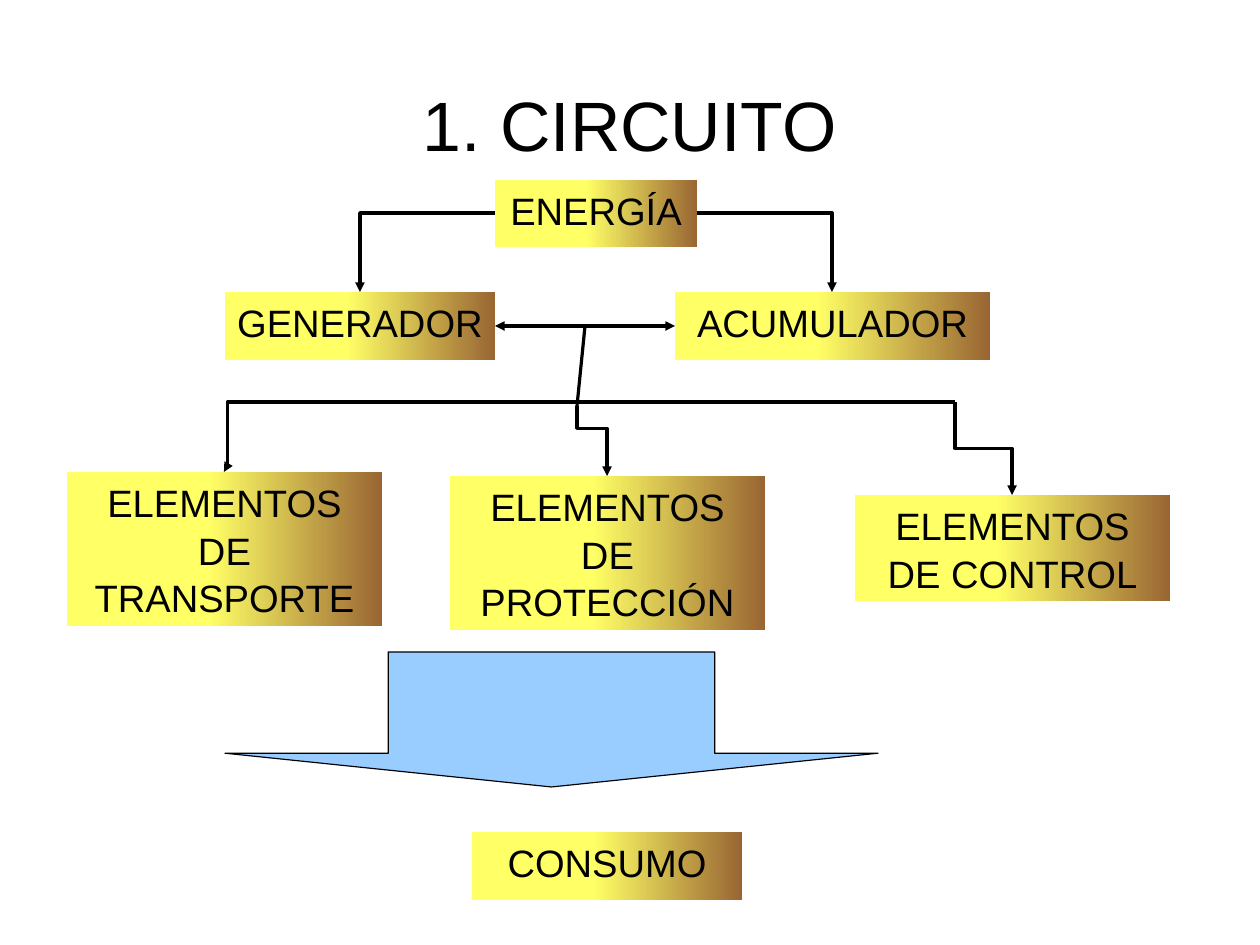
"""Builds the slide "1. CIRCUITO": a block diagram of a circuit's parts."""
from lxml import etree
from pptx import Presentation
from pptx.dml.color import RGBColor
from pptx.enum.shapes import MSO_CONNECTOR as CONN, MSO_SHAPE as SHAPE
from pptx.enum.text import MSO_ANCHOR as ANCHOR, PP_ALIGN as ALIGN
from pptx.oxml.ns import qn
from pptx.util import Emu, Pt

PX = 8000
BLACK = RGBColor(0x00, 0x00, 0x00)
YELLOW = RGBColor(0xFF, 0xFF, 0x66)
BROWN = RGBColor(0x99, 0x66, 0x33)
BLUE = RGBColor(0x99, 0xCC, 0xFF)

TITLE = ("1. CIRCUITO", (63, 30, 1134, 184))
BOXES = {
    "ENERGÍA": (495, 180, 202, 67),
    "GENERADOR": (225, 292, 270, 68),
    "ACUMULADOR": (675, 292, 315, 68),
    "ELEMENTOS DE TRANSPORTE": (67, 472, 315, 154),
    "ELEMENTOS DE PROTECCIÓN": (450, 476, 315, 154),
    "ELEMENTOS DE CONTROL": (855, 495, 315, 106),
    "CONSUMO": (472, 832, 270, 68),
}
DOWN_ARROW = (225, 652, 653, 135)
BUS_LEFT, BUS_RIGHT, BUS_Y = 250, 955, 402
STEM_TOP, STEM_FOOT = (585, 326), (577, 406)


def emu(lengths):
    return [Emu(v * PX) for v in lengths]


def top(name):
    x, y, w, h = BOXES[name]
    return x + w // 2, y


def side(name, right):
    x, y, w, h = BOXES[name]
    return x + w * right, y + h // 2


def write(sp, text, size, anchor, margins):
    tf = sp.text_frame
    tf.word_wrap = True
    tf.vertical_anchor = anchor
    tf.margin_left = tf.margin_right = Emu(margins[0] * PX)
    tf.margin_top = tf.margin_bottom = Emu(margins[1] * PX)
    p = tf.paragraphs[0]
    p.text = text
    p.alignment = ALIGN.CENTER
    p.line_spacing = 1.04
    p.font.name = "Arial"
    p.font.size = Pt(size)
    p.font.color.rgb = BLACK


def add_box(shapes, name):
    sp = shapes.add_shape(SHAPE.RECTANGLE, *emu(BOXES[name]))
    sp.shadow.inherit = False
    sp.fill.gradient()
    sp.fill.gradient_angle = 0
    for stop, position, color in zip(sp.fill.gradient_stops, (0.45, 1), (YELLOW, BROWN)):
        stop.position = position
        stop.color.rgb = color
    sp.line.fill.background()
    write(sp, name, 24, ANCHOR.TOP, (11, 6))
    return sp


def add_line(shapes, start, end, kind=CONN.STRAIGHT, ends=()):
    c = shapes.add_connector(kind, *emu(start + end))
    c.line.color.rgb = BLACK
    c.line.width = Pt(0)
    for tag in ends:
        etree.SubElement(c.line._ln, qn(tag), type="triangle")
    etree.SubElement(c._element.spPr, qn("a:effectLst"))
    return c


def add_elbow(shapes, start, end, preset="bentConnector3", bend=None):
    c = add_line(shapes, start, end, CONN.ELBOW, ["a:tailEnd"])
    geom = c._element.spPr.find(qn("a:prstGeom"))
    geom.set("prst", preset)
    if bend is not None:
        guides = geom.find(qn("a:avLst"))
        etree.SubElement(guides, qn("a:gd"), name="adj1", fmla=f"val {round(bend * 100000)}")
    return c


def add_drop(shapes, start, end, bend):
    """Adds an elbow that leaves downwards and steps to the right."""
    c = add_elbow(shapes, start, end, bend=bend)
    dx, dy = end[0] - start[0], end[1] - start[1]
    c.left, c.top, c.width, c.height = emu(
        (start[0] + (dx - dy) / 2, start[1] + (dy - dx) / 2, dy, dx))
    xfrm = c._element.spPr.find(qn("a:xfrm"))
    xfrm.set("rot", str(270 * 60000))
    xfrm.set("flipH", "1")


def main():
    prs = Presentation()
    prs.slide_width, prs.slide_height = emu((1260, 945))
    shapes = prs.slides.add_slide(prs.slide_layouts[6]).shapes

    text, frame = TITLE
    write(shapes.add_textbox(*emu(frame)), text, 44, ANCHOR.MIDDLE, (0, 0))
    boxes = {name: add_box(shapes, name) for name in BOXES}

    for right, name in enumerate(("GENERADOR", "ACUMULADOR")):
        add_elbow(shapes, side("ENERGÍA", right), top(name), "bentConnector2")
    link = add_line(shapes, side("GENERADOR", 1), side("ACUMULADOR", 0),
                    ends=("a:headEnd", "a:tailEnd"))
    link.begin_connect(boxes["GENERADOR"], 3)
    link.end_connect(boxes["ACUMULADOR"], 1)

    add_line(shapes, (BUS_LEFT, BUS_Y), (BUS_RIGHT, BUS_Y))
    add_line(shapes, STEM_TOP, STEM_FOOT)
    add_elbow(shapes, (BUS_LEFT, BUS_Y), top("ELEMENTOS DE TRANSPORTE"), bend=0.87)
    add_drop(shapes, STEM_FOOT, top("ELEMENTOS DE PROTECCIÓN"), 0.32)
    add_drop(shapes, (BUS_RIGHT, BUS_Y), top("ELEMENTOS DE CONTROL"), 0.5)

    sp = shapes.add_shape(SHAPE.DOWN_ARROW, *emu(DOWN_ARROW))
    sp.shadow.inherit = False
    sp.adjustments[0], sp.adjustments[1] = 0.5, 0.25
    sp.fill.solid()
    sp.fill.fore_color.rgb = BLUE
    sp.line.color.rgb = BLACK
    sp.line.width = Pt(0)
    prs.save("out.pptx")


if __name__ == "__main__":
    main()
